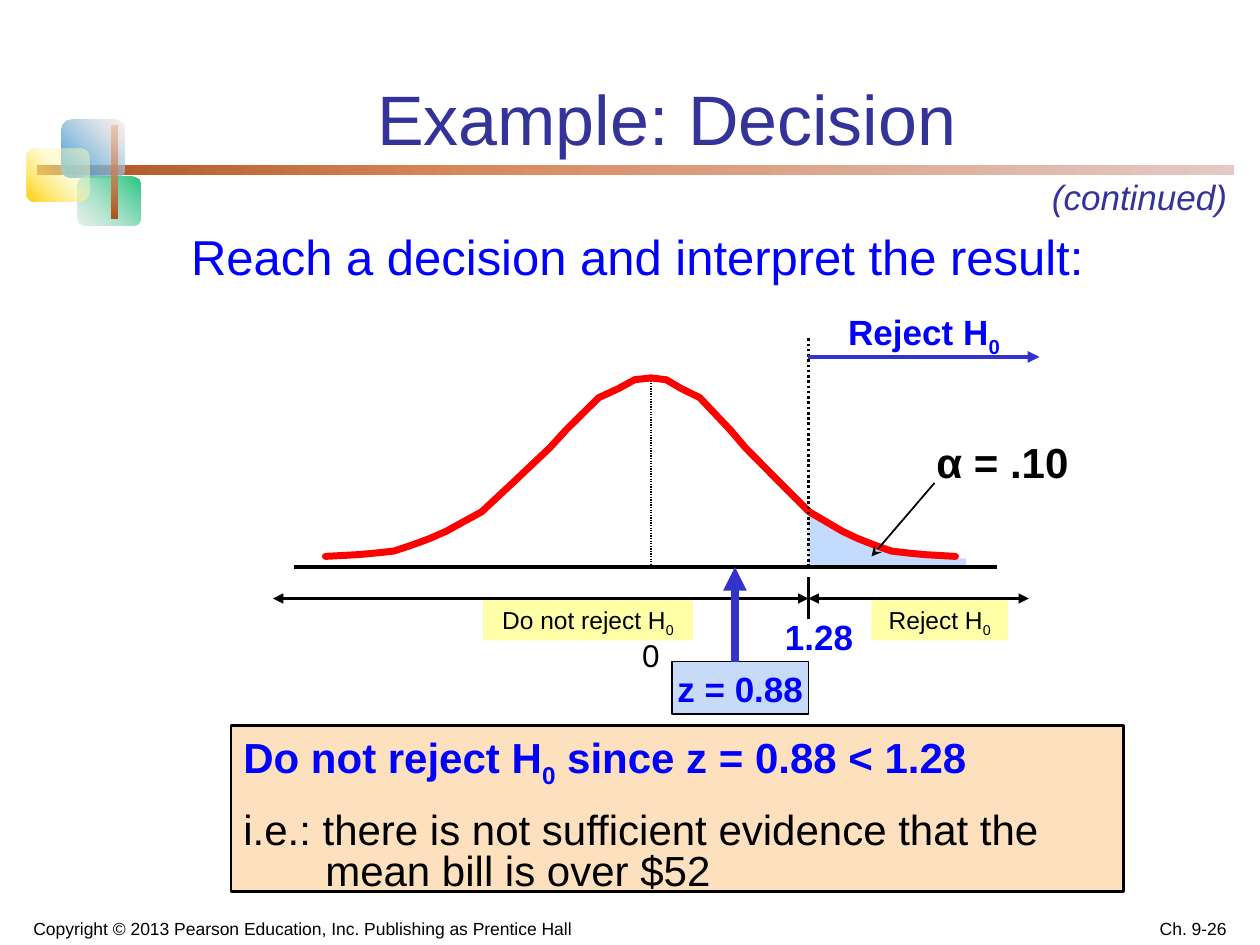
from dataclasses import dataclass

from lxml import etree
from pptx import Presentation
from pptx.dml.color import RGBColor
from pptx.enum.dml import MSO_LINE
from pptx.enum.shapes import MSO_CONNECTOR, MSO_SHAPE
from pptx.enum.text import MSO_ANCHOR, MSO_AUTO_SIZE, PP_ALIGN
from pptx.oxml.ns import qn
from pptx.util import Emu, Inches, Pt

DOT = MSO_LINE.ROUND_DOT
LEFT, MID, RIGHT = PP_ALIGN.LEFT, PP_ALIGN.CENTER, PP_ALIGN.RIGHT
TOP, LOW = MSO_ANCHOR.TOP, MSO_ANCHOR.BOTTOM
RECT, ROUND = MSO_SHAPE.RECTANGLE, MSO_SHAPE.ROUNDED_RECTANGLE
CELL = Inches(1) // 12  # the grid has 12 cells to the inch


@dataclass(frozen=True)
class Theme:
    font: str = "Arial"
    ink: str = "000000"
    title: str = "333399"
    blue: str = "0000FF"
    arrow: str = "3333CC"
    curve: str = "FF0000"
    tail: str = "C3DBFF"
    label: str = "FFFFA7"
    score: str = "C7DAF7"
    panel: str = "FDE0BD"
    huge: int = 40
    head: int = 28
    large: int = 24
    mid: int = 20
    zero: int = 18
    small: int = 14
    foot: int = 10


T = Theme()

# Half of the bell: share of the width from the foot, share of the drop
BELL = [(0, 1), (.1, .99), (.16, .98), (.21, .97), (.26, .94), (.32, .9),
        (.37, .86), (.48, .75), (.58, .58), (.69, .39), (.74, .29),
        (.79, .2), (.84, .11), (.9, .06), (.95, .01), (1, 0)]
AREA = [(92, 54), (92, 53.2), (87.2, 52.9), (84, 52.1), (81, 51),
        (77, 48.6), (77, 54)]

# Place, angle, and stops of position, colour and opacity
DECOR = [
    ((3.5, 15.7, 114, 1), 0,
     [(0, "AE511E", 100), (37, "D88A5E", 100), (100, "E4C9C6", 100)]),
    ((5.9, 11.4, 6, 5.5), 315, [(0, "2895D8", 100), (100, "F7E2D9", 50)]),
    ((7.4, 16.8, 6, 4.7), 135, [(0, "25C580", 100), (100, "CCE2D9", 50)]),
    ((2.5, 14.2, 6, 5), 315, [(0, "FFCF01", 100), (63, "FCFCBC", 50)]),
    ((10.6, 12, .6, 8.8), 270, [(0, "AE511E", 100), (100, "EAA782", 50)]),
]


def grid(*cells):
    return [Emu(round(c * CELL)) for c in cells]


def put(item, **vals):
    for name, val in vals.items():
        setattr(item, name, val)


def node(base, tag, **vals):
    return etree.SubElement(base, qn(tag), {k: str(v) for k, v in vals.items()})


def edge(item, color, width, dash=None, head=None, tail=None):
    item.line.fill.solid()
    item.line.fill.fore_color.rgb = RGBColor.from_string(color)
    put(item.line, width=Pt(width), dash_style=dash)
    ln = item._element.spPr.find(qn("a:ln"))
    for tag, kind in (("a:headEnd", head), ("a:tailEnd", tail)):
        if kind:
            node(ln, tag, type=kind)
    return ln


def paint(item, color):
    item.shadow.inherit = False
    item.line.fill.background()
    item.fill.solid()
    item.fill.fore_color.rgb = RGBColor.from_string(color)


def fade(shapes, place, angle, stops):
    item = shapes.add_shape(ROUND, *grid(*place))
    item.shadow.inherit = False
    item.line.fill.background()
    item.fill.gradient()
    grad = item._element.spPr.find(qn("a:gradFill"))
    for child in list(grad):
        grad.remove(child)
    group = node(grad, "a:gsLst")
    for pos, color, clear in stops:
        stop = node(group, "a:gs", pos=pos * 1000)
        node(node(stop, "a:srgbClr", val=color), "a:alpha", val=clear * 1000)
    node(grad, "a:lin", ang=angle * 60000, scaled=0)


def write(para, text, size, color, align=LEFT, **font):
    """Fill a paragraph; the letter after each underscore is a subscript."""
    put(para, alignment=align, space_before=Pt(0))
    first, *rest = text.split("_")
    parts = [(first, False)]
    for part in rest:
        parts += [(part[0], True), (part[1:], False)]
    for part, sub in parts:
        if not part:
            continue
        run = para.add_run()
        run.text = part
        put(run.font, name=T.font, size=Pt(size), **font)
        run.font.color.rgb = RGBColor.from_string(color)
        if sub:
            run.font._element.set("baseline", "-25000")


def frame(item, anchor=TOP, wrap=True):
    put(item.text_frame, word_wrap=wrap, vertical_anchor=anchor,
        auto_size=MSO_AUTO_SIZE.NONE)
    return item.text_frame.paragraphs[0]


def note(shapes, place, text, size, color, align=MID, anchor=TOP, wrap=True,
         **font):
    box = shapes.add_textbox(*grid(*place))
    write(frame(box, anchor, wrap), text, size, color, align, **font)


def block(shapes, place, color):
    item = shapes.add_shape(RECT, *grid(*place))
    paint(item, color)
    return item


def rule(shapes, ends, color, width, **style):
    item = shapes.add_connector(MSO_CONNECTOR.STRAIGHT, *grid(*ends))
    edge(item, color, width, **style)
    node(item._element.spPr, "a:effectLst")


def trace(shapes, points, close):
    start, *rest = [grid(*p) for p in points]
    path = shapes.build_freeform(*start)
    path.add_line_segments(rest, close=close)
    item = path.convert_to_shape()
    item.shadow.inherit = False
    return item


def holder(item, place, text, size, color, align, anchor):
    put(item, **dict(zip(("left", "top", "width", "height"), grid(*place))))
    para = frame(item, anchor)
    props = para._p.get_or_add_pPr()
    put_off = {"marL": "0", "indent": "0"}
    for name, val in put_off.items():
        props.set(name, val)
    node(props, "a:buNone")
    write(para, text, size, color, align)


def bell(shapes):
    paint(trace(shapes, AREA, True), T.tail)
    for width in (-31, 29):
        half = [(62 + width * (1 - x), 36 + 17 * y) for x, y in BELL]
        item = trace(shapes, half, False)
        item.fill.background()
        edge(item, T.curve, 4).set("cap", "rnd")


def verdict(shapes):
    item = block(shapes, (22, 69.1, 85, 15.8), T.panel)
    edge(item, T.ink, 1.5)
    write(frame(item), "Do not reject H_0 since z = 0.88 < 1.28", T.large,
          T.blue, bold=True)
    para = item.text_frame.add_paragraph()
    props = para._p.get_or_add_pPr()
    props.set("marL", str(Inches(.65)))
    props.set("indent", str(-Inches(.65)))
    write(para, "i.e.: there is not sufficient evidence that the "
          "mean bill is over $52", T.large, T.ink)
    put(para, line_spacing=.8, space_before=Pt(14))


def main():
    deck = Presentation()
    put(deck, slide_width=Inches(10), slide_height=Inches(7.5))
    slide = deck.slides.add_slide(deck.slide_layouts[1])
    shapes = slide.shapes
    for place, angle, stops in DECOR:
        fade(shapes, place, angle, stops)
    holder(shapes.title, (15.1, 2.8, 96.8, 13), "Example: Decision",
           T.huge, T.title, MID, LOW)
    holder(slide.placeholders[1], (17, 21, 96, 8.8),
           "Reach a decision and interpret the result:",
           T.head, T.blue, LEFT, TOP)
    note(shapes, (0, 85.8, 57.6, 4.2),
         "Copyright © 2013 Pearson Education, Inc. Publishing as Prentice Hall",
         T.foot, T.ink, anchor=LOW)

    rule(shapes, (62, 36, 62, 54), T.ink, .75, dash=DOT)
    for place, text in (((83, 57, 13, 4), "Reject H_0"),
                        ((46, 57, 20, 4), "Do not reject H_0")):
        item = block(shapes, place, T.label)
        write(frame(item), text, T.small, T.ink, MID)
    edge(block(shapes, (64, 63, 13, 5), T.score), T.ink, .75)
    bell(shapes)

    both = {"head": "triangle", "tail": "triangle"}
    rule(shapes, (28, 54, 95, 54), T.ink, 2)
    rule(shapes, (89, 46, 83, 53), T.ink, 1, tail="stealth")
    rule(shapes, (77, 55, 77, 59), T.ink, 1.5)
    rule(shapes, (77, 57, 98, 57), T.ink, 1.5, **both)
    rule(shapes, (26, 57, 77, 57), T.ink, 1.5, **both)
    rule(shapes, (77, 54, 77, 32), T.ink, 1.5, dash=DOT)
    rule(shapes, (77, 34, 99, 34), T.arrow, 2.25, tail="triangle")
    rule(shapes, (70, 63, 70, 54), T.arrow, 4.5, tail="triangle")

    note(shapes, (88, 41, 16, 6), "α = .10", T.large, T.ink, LEFT, bold=True)
    note(shapes, (59, 60, 6, 4.8), "0", T.zero, T.ink)
    for place, text in (((71, 58, 14, 5.2), "1.28"),
                        ((78, 29, 20, 5.2), "Reject H_0"),
                        ((63, 63, 15, 5.2), "z = 0.88")):
        note(shapes, place, text, T.mid, T.blue, bold=True)
    verdict(shapes)
    note(shapes, (99, 16.1, 19, 5.2), "(continued)", T.mid, T.title, LEFT,
         wrap=False, italic=True)
    note(shapes, (90, 85.8, 28, 4.2), "Ch. 9-26", T.foot, T.ink, RIGHT, LOW)
    deck.save("out.pptx")


if __name__ == "__main__":
    main()
